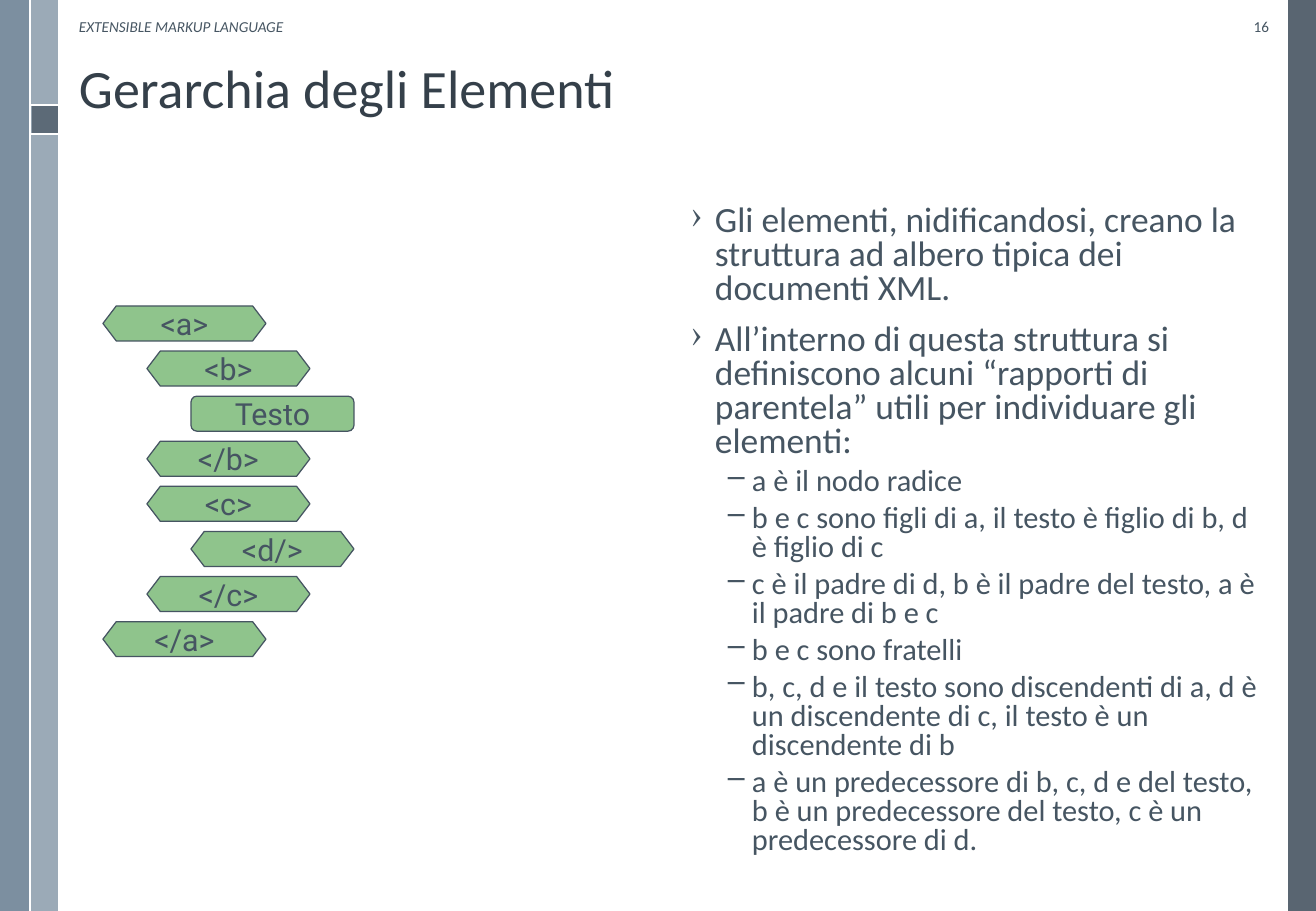
import pptx
import pptx.util
import pptx.dml.color
import pptx.enum.shapes
import pptx.enum.text
from lxml import etree

RGBColor = pptx.dml.color.RGBColor
Shapes = pptx.enum.shapes.MSO_SHAPE
Align = pptx.enum.text.PP_ALIGN
Anchor = pptx.enum.text.MSO_ANCHOR

INK = RGBColor(0x46, 0x55, 0x62)
TITLE_INK = RGBColor(0x35, 0x40, 0x4A)
SLATE = RGBColor(0x47, 0x55, 0x62)
MIST = RGBColor(0x9B, 0xAA, 0xB7)
STEEL = RGBColor(0x6A, 0x80, 0x93)
GREEN = RGBColor(0x8F, 0xC4, 0x8C)
WHITE = RGBColor(0xFF, 0xFF, 0xFF)

# Content
TITLE = "Gerarchia degli Elementi"
HEADER = "EXTENSIBLE MARKUP LANGUAGE"
PAGE_NUMBER = "16"
POINTS = [  # level, text
    (0, "Gli elementi, nidificandosi, creano la struttura ad albero tipica dei documenti XML."),
    (0, "All’interno di questa struttura si definiscono alcuni “rapporti di parentela” "
        "utili per individuare gli elementi:"),
    (1, "a è il nodo radice"),
    (1, "b e c sono figli di a, il testo è figlio di b, d è figlio di c"),
    (1, "c è il padre di d, b è il padre del testo, a è il padre di b e c"),
    (1, "b e c sono fratelli"),
    (1, "b, c, d e il testo sono discendenti di a, d è un discendente di c, "
        "il testo è un discendente di b"),
    (1, "a è un predecessore di b, c, d e del testo, b è un predecessore del testo, "
        "c è un predecessore di d."),
]
TAGS = [  # depth, label
    (0, "<a>"), (1, "<b>"), (2, "Testo"), (1, "</b>"),
    (1, "<c>"), (2, "<d/>"), (1, "</c>"), (0, "</a>"),
]
LEVELS = [  # bullet, left margin px, size pt, space before pt
    ("›", 24, 21, 10.5),
    ("–", 61, 18, 4.5),
]

# Layout in px
PAGE_W, PAGE_H = 1316, 911
BARS = [  # left, top, width, height, colour, opacity %
    (1288, 0, 28, PAGE_H, SLATE, 90),
    (31, 0, 27, PAGE_H, MIST, 100),
    (0, 0, 30, PAGE_H, STEEL, 88),
    (32, 106, 26, 27, SLATE, 75),
]
RULES = [(31, 105, 58, 105), (31, 134, 58, 134), (30, 0, 30, PAGE_H)]
TAG_LEFT, TAG_TOP, TAG_W, TAG_H = 103, 306, 163, 35
TAG_INDENT, TAG_PITCH = 44, 45.1
BULLET_HANG = 24


def px(length):
    return pptx.util.Emu(round(length * 914400 / 121.5))


def add_span(para, text, size, color=INK, font="Calibri", italic=False):
    span = para.add_run()
    span.text = text
    span.font.size = pptx.util.Pt(size)
    span.font.name = font
    span.font.color.rgb = color
    span.font.italic = italic


def add_box(page, left, top, width, height, anchor=Anchor.TOP):
    frame = page.shapes.add_textbox(px(left), px(top), px(width), px(height)).text_frame
    frame.word_wrap = True
    frame.vertical_anchor = anchor
    return frame


def add_block(page, kind, left, top, width, height, color):
    block = page.shapes.add_shape(kind, px(left), px(top), px(width), px(height))
    block.shadow.inherit = False
    block.fill.solid()
    block.fill.fore_color.rgb = color
    return block


def add_bullet(para, mark, margin):
    properties = para._p.get_or_add_pPr()
    properties.set("marL", str(px(margin)))
    properties.set("indent", str(-px(BULLET_HANG)))
    bullet = etree.SubElement(properties, pptx.oxml.ns.qn("a:buChar"))
    bullet.set("char", mark)


deck = pptx.Presentation()
deck.slide_width, deck.slide_height = px(PAGE_W), px(PAGE_H)
page = deck.slides.add_slide(deck.slide_layouts[6])

# Side bars
for left, top, width, height, color, opacity in BARS:
    bar = add_block(page, Shapes.RECTANGLE, left, top, width, height, color)
    bar.line.fill.background()
    if opacity < 100:
        fill_color = bar.fill._xPr.find(".//" + pptx.oxml.ns.qn("a:srgbClr"))
        alpha = etree.SubElement(fill_color, pptx.oxml.ns.qn("a:alpha"))
        alpha.set("val", str(opacity * 1000))

# White rules between the bars
for ends in RULES:
    rule = page.shapes.add_connector(pptx.enum.shapes.MSO_CONNECTOR.STRAIGHT, *map(px, ends))
    rule.line.color.rgb = WHITE
    rule.line.width = pptx.util.Pt(1.5)
    etree.SubElement(rule._element.spPr, pptx.oxml.ns.qn("a:effectLst"))

# Title, header and page number
para = add_box(page, 67, 56, 1214, 132).paragraphs[0]
para.line_spacing = 0.9
add_span(para, TITLE, 32, TITLE_INK)
para = add_box(page, 67, 7, 429, 38, Anchor.MIDDLE).paragraphs[0]
add_span(para, HEADER, 9, italic=True)
para = add_box(page, 1203, 7, 78, 38, Anchor.MIDDLE).paragraphs[0]
para.alignment = Align.RIGHT
add_span(para, PAGE_NUMBER, 9)

# Bulleted explanation
body = add_box(page, 679, 199, 602, 699)
for index, (level, text) in enumerate(POINTS):
    mark, margin, size, gap = LEVELS[level]
    para = body.add_paragraph() if index else body.paragraphs[0]
    para.level = level
    add_bullet(para, mark, margin)
    para.line_spacing = 0.8
    para.space_before = pptx.util.Pt(gap if index else 0)
    add_span(para, text, size)

# Nested tags: one row each, indented by depth
for row, (depth, label) in enumerate(TAGS):
    is_tag = label.startswith("<")
    kind = Shapes.HEXAGON if is_tag else Shapes.ROUNDED_RECTANGLE
    tag = add_block(page, kind, TAG_LEFT + depth * TAG_INDENT, TAG_TOP + row * TAG_PITCH,
                    TAG_W, TAG_H, GREEN)
    tag.adjustments[0] = 0.38 if is_tag else 0.17
    tag.line.color.rgb = INK
    tag.line.width = pptx.util.Pt(0.75)
    tag.text_frame.word_wrap = False
    tag.text_frame.vertical_anchor = Anchor.MIDDLE
    para = tag.text_frame.paragraphs[0]
    para.alignment = Align.CENTER
    add_span(para, label, 18, font="Roboto")

deck.save("out.pptx")
